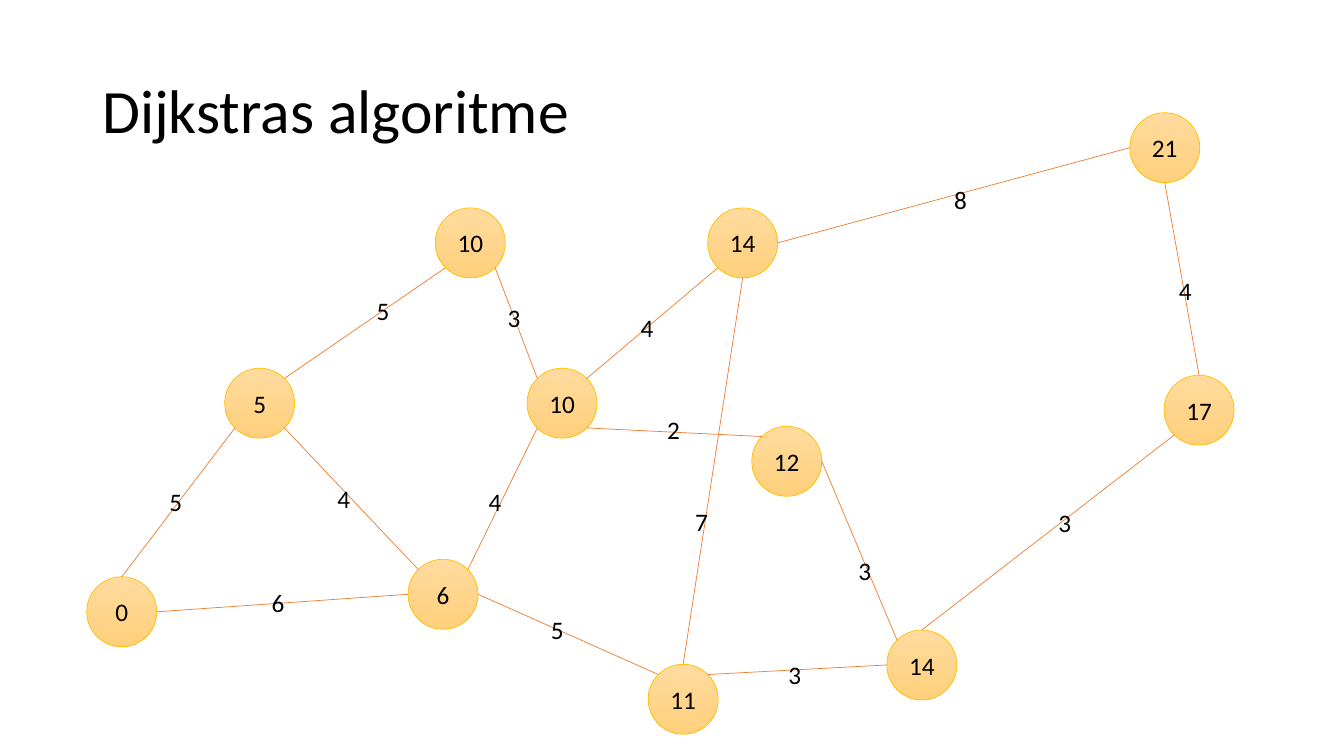
from math import cos, radians, sin

from lxml.etree import SubElement
from pptx import Presentation
from pptx.dml.color import RGBColor
from pptx.enum.shapes import MSO_CONNECTOR as Connector, MSO_SHAPE as Shape
from pptx.enum.text import MSO_ANCHOR as Anchor, MSO_AUTO_SIZE as AutoSize, PP_ALIGN as Align
from pptx.oxml.ns import qn
from pptx.util import Pt

COLORS = {
    "text": "000000",
    "node_top": "FFDB9E",
    "node_bottom": "FFD07C",
    "node_border": "FFC000",
    "edge": "ED7D31",
}
FONT = "Calibri"
DIAMETER = 50
LINE_WIDTH = 0.5
WEIGHT_SIZE = (18.7, 29)

TOP, TOP_LEFT, LEFT, BOTTOM_LEFT, BOTTOM, BOTTOM_RIGHT, RIGHT, TOP_RIGHT = range(8)

NODES = {
    "B": (160.5, 263, 5),
    "C": (291.5, 399.5, 6),
    "D": (376.5, 263, 10),
    "E": (311, 148.5, 10),
    "F": (505.5, 148.5, 14),
    "G": (463, 474.5, 11),
    "H": (537, 304.5, 12),
    "I": (633.5, 450, 14),
    "J": (831.5, 268, 17),
    "K": (807, 80.5, 21),
    "A": (62, 412, 0),
}

EDGES = [
    ("A", TOP, "B", BOTTOM_LEFT, 5, (114, 343.5)),
    ("B", TOP_RIGHT, "E", BOTTOM_LEFT, 5, (262, 207.5)),
    ("E", BOTTOM_RIGHT, "D", TOP_LEFT, 3, (355.5, 212.5)),
    ("B", BOTTOM_RIGHT, "C", TOP_LEFT, 4, (234, 341.5)),
    ("C", TOP_RIGHT, "D", BOTTOM_LEFT, 4, (342, 343.5)),
    ("D", TOP_RIGHT, "F", BOTTOM_LEFT, 4, (450.5, 219.5)),
    ("D", BOTTOM_RIGHT, "H", TOP_LEFT, 2, (469.5, 292.5)),
    ("C", RIGHT, "G", TOP_LEFT, 5, (386.5, 435)),
    ("H", RIGHT, "I", TOP_LEFT, 3, (606, 393)),
    ("I", TOP, "J", BOTTOM_LEFT, 3, (749, 358.5)),
    ("J", TOP, "K", BOTTOM, 4, (835, 193)),
    ("F", RIGHT, "K", LEFT, 8, (674.5, 128)),
    ("A", RIGHT, "C", LEFT, 6, (187, 416)),
    ("G", TOP_RIGHT, "I", LEFT, 3, (556, 467.5)),
    ("G", TOP, "F", BOTTOM, 7, (489.5, 358)),
]


def color(name):
    return RGBColor.from_string(COLORS[name])


def write(frame, text, size, align=Align.LEFT):
    frame.word_wrap = True
    paragraph = frame.paragraphs[0]
    paragraph.text = str(text)
    paragraph.alignment = align
    paragraph.font.name = FONT
    paragraph.font.size = Pt(size)
    paragraph.font.color.rgb = color("text")
    return paragraph


def add_title(slide, text, left, top, width, height):
    title = slide.shapes.add_textbox(Pt(left), Pt(top), Pt(width), Pt(height))
    title.text_frame.vertical_anchor = Anchor.MIDDLE
    write(title.text_frame, text, 44).line_spacing = 0.9


def add_node(slide, distance, left, top):
    node = slide.shapes.add_shape(Shape.OVAL, Pt(left), Pt(top), Pt(DIAMETER), Pt(DIAMETER))
    node.shadow.inherit = False
    node.fill.gradient()
    node.fill.gradient_angle = 270
    for stop, shade in zip(node.fill.gradient_stops, ("node_top", "node_bottom")):
        stop.color.rgb = color(shade)
    node.line.color.rgb = color("node_border")
    node.line.width = Pt(LINE_WIDTH)
    node.text_frame.vertical_anchor = Anchor.MIDDLE
    write(node.text_frame, distance, 18, Align.CENTER)
    return node


def site_point(node, site):
    angle = radians(90 + 45 * site)
    radius = node.width / 2
    x = node.left + radius * (1 + cos(angle))
    y = node.top + radius * (1 - sin(angle))
    return round(x), round(y)


def add_edge(slide, start, start_site, end, end_site):
    edge = slide.shapes.add_connector(
        Connector.STRAIGHT, *site_point(start, start_site), *site_point(end, end_site)
    )
    edge.line.color.rgb = color("edge")
    edge.line.width = Pt(LINE_WIDTH)
    SubElement(edge._element.spPr, qn("a:effectLst"))
    links = edge._element.nvCxnSpPr.cNvCxnSpPr
    for tag, node, site in (("a:stCxn", start, start_site), ("a:endCxn", end, end_site)):
        SubElement(links, qn(tag), id=str(node.shape_id), idx=str(site))


def add_weight(slide, weight, left, top):
    width, height = WEIGHT_SIZE
    label = slide.shapes.add_textbox(Pt(left), Pt(top), Pt(width), Pt(height))
    write(label.text_frame, weight, 18)
    label.text_frame.auto_size = AutoSize.SHAPE_TO_FIT_TEXT


def add_graph(slide, left, top):
    nodes = {
        name: add_node(slide, distance, left + x, top + y)
        for name, (x, y, distance) in NODES.items()
    }
    for start, start_site, end, end_site, _, _ in EDGES:
        add_edge(slide, nodes[start], start_site, nodes[end], end_site)
    for *_, weight, (x, y) in EDGES:
        add_weight(slide, weight, left + x, top + y)


def main():
    deck = Presentation()
    deck.slide_width, deck.slide_height = Pt(960), Pt(540)
    slide = deck.slides.add_slide(deck.slide_layouts[6])
    add_title(slide, "Dijkstras algoritme", 66, 28.75, 828, 104.4)
    add_graph(slide, 0, 0)
    deck.save("out.pptx")


if __name__ == "__main__":
    main()
